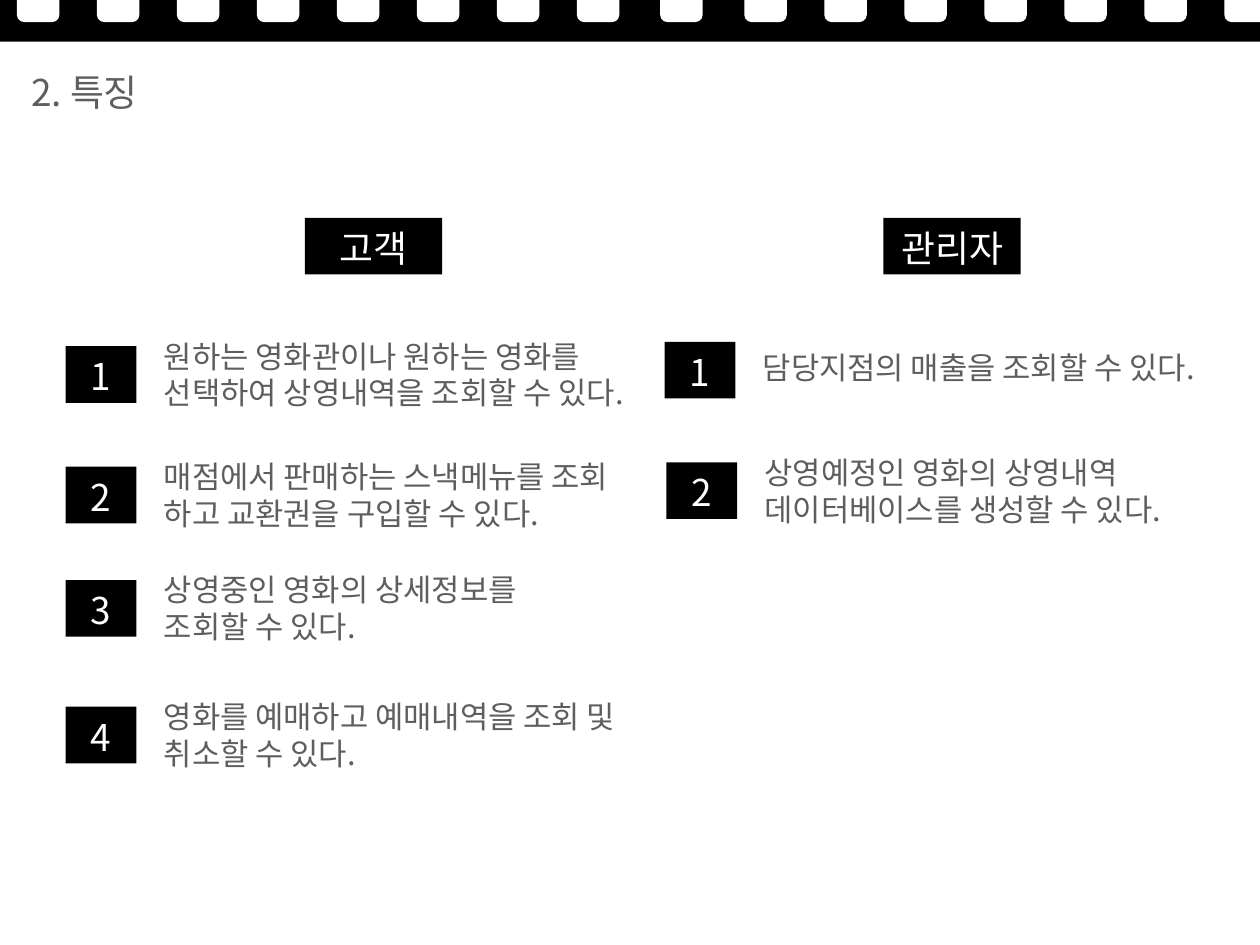
from pptx import Presentation
from pptx.dml.color import RGBColor
from pptx.enum.shapes import MSO_SHAPE as SHAPE
from pptx.enum.text import MSO_ANCHOR as ANCHOR, MSO_AUTO_SIZE as FIT, PP_ALIGN as ALIGN
from pptx.oxml.ns import qn
from pptx.util import Inches, Pt
from lxml import etree

BLACK = RGBColor(0x00, 0x00, 0x00)
WHITE = RGBColor(0xFF, 0xFF, 0xFF)
GRAY = RGBColor(0x5E, 0x5E, 0x5E)
FONT = "Noto Sans CJK KR"
BADGE_W, BADGE_H = 0.8, 0.64
TEXT_GAP = 1.05  # badge left edge to text left edge

# Each feature: badge left, badge top, text drop from badge, text width, text height, paragraphs
CUSTOMER = [
    (0.74, 3.91, -0.16, 5.45, 0.95, ["원하는 영화관이나 원하는 영화를 선택하여 상영내역을 조회할 수 있다."]),
    (0.74, 5.27, -0.16, 5.24, 0.95, ["매점에서 판매하는 스낵메뉴를 조회", "하고 교환권을 구입할 수 있다."]),
    (0.74, 6.55, -0.16, 5.53, 0.95, ["상영중인 영화의 상세정보를", "조회할 수 있다."]),
    (0.74, 7.98, -0.16, 5.53, 0.95, ["영화를 예매하고 예매내역을 조회 및 취소할 수 있다."]),
]
MANAGER = [
    (7.5, 3.86, 0.01, 9.83, 0.55, ["담당지점의 매출을 조회할 수 있다."]),
    (7.52, 5.22, -0.15, 9.83, 0.95, ["상영예정인 영화의 상영내역", "데이터베이스를 생성할 수 있다."]),
]


def add_block(shapes, kind, left, top, width, height, color):
    sp = shapes.add_shape(kind, Inches(left), Inches(top), Inches(width), Inches(height))
    sp.shadow.inherit = False
    sp.fill.solid()
    sp.fill.fore_color.rgb = color
    sp.line.fill.background()
    return sp


def set_margins(tf, inset):
    tf.margin_left = tf.margin_right = tf.margin_top = tf.margin_bottom = Inches(inset)


def add_run(p, text, size, color):
    r = p.add_run()
    r.text = text
    r.font.size = Pt(size)
    r.font.name = FONT
    r.font.color.rgb = color
    ea = etree.SubElement(r.font._element, qn("a:ea"))
    ea.set("typeface", FONT)


def add_text(slide, left, top, width, height, lines, size):
    sp = slide.shapes.add_textbox(Inches(left), Inches(top), Inches(width), Inches(height))
    tf = sp.text_frame
    tf.word_wrap = True
    tf.auto_size = FIT.SHAPE_TO_FIT_TEXT
    tf.vertical_anchor = ANCHOR.MIDDLE
    set_margins(tf, 0.06)
    for i, line in enumerate(lines):
        p = tf.paragraphs[0] if i == 0 else tf.add_paragraph()
        add_run(p, line, size, GRAY)


def add_label(slide, left, top, width, text):
    sp = add_block(slide.shapes, SHAPE.RECTANGLE, left, top, width, BADGE_H, BLACK)
    tf = sp.text_frame
    tf.vertical_anchor = ANCHOR.BOTTOM
    set_margins(tf, 0.05)
    p = tf.paragraphs[0]
    p.alignment = ALIGN.CENTER
    p.line_spacing = 0.9
    add_run(p, text, 30, WHITE)


def add_film_strip(slide, left, top, width, height):
    shapes = slide.shapes.add_group_shape().shapes
    add_block(shapes, SHAPE.RECTANGLE, left, top, width, height, BLACK)
    # Two evenly spaced rows of holes with a single hole between them
    pitch = 6.32 / 7
    for start, count in [(0.27, 8), (7.53, 1), (8.48, 7)]:
        for i in range(count):
            hole = add_block(shapes, SHAPE.ROUNDED_RECTANGLE,
                             left + start + i * pitch, top + 0.21, 0.48, 0.54, WHITE)
            hole.adjustments[0] = 0.174


def add_column(slide, left, top, heading, features):
    add_label(slide, left, top, 1.55, heading)
    for number, (x, y, drop, width, height, lines) in enumerate(features, 1):
        add_label(slide, x, y, BADGE_W, str(number))
        add_text(slide, x + TEXT_GAP, y + drop, width, height, lines, 25)


def main():
    prs = Presentation()
    prs.slide_width, prs.slide_height = Inches(14.22), Inches(10.67)
    slide = prs.slides.add_slide(prs.slide_layouts[6])
    slide.background.fill.solid()
    slide.background.fill.fore_color.rgb = WHITE

    # Film strip and title
    add_film_strip(slide, -0.08, -0.5, 14.3, 0.97)
    add_text(slide, 0.29, 0.72, 2.82, 0.64, ["2. 특징"], 30)

    # Feature columns
    add_column(slide, 3.44, 2.46, "고객", CUSTOMER)
    add_column(slide, 9.97, 2.46, "관리자", MANAGER)
    prs.save("out.pptx")


if __name__ == "__main__":
    main()
